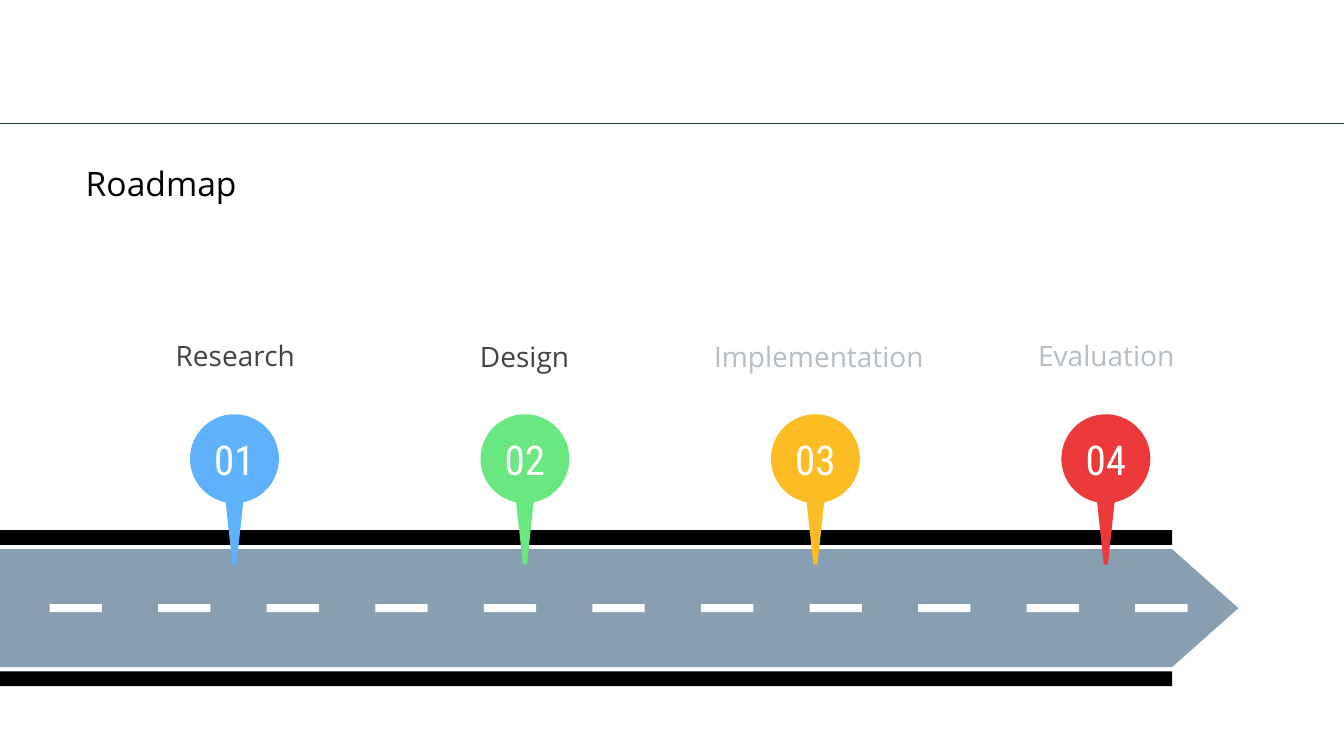
from math import asin, cos, pi, sin

from lxml.etree import SubElement
from pptx import Presentation
from pptx.dml.color import RGBColor
from pptx.enum.shapes import MSO_CONNECTOR, MSO_SHAPE
from pptx.enum.text import MSO_ANCHOR, MSO_AUTO_SIZE, PP_ALIGN
from pptx.oxml.ns import qn
from pptx.util import Cm, Pt

# Content
TITLE = "Roadmap"
# number, label, pin colour, label colour, label centre and top in cm
MILESTONES = [
    ("01", "Research", "blue", "dark", 5.93, 8.15),
    ("02", "Design", "green", "dark", 13.22, 8.18),
    ("03", "Implementation", "yellow", "pale", 20.64, 8.18),
    ("04", "Evaluation", "red", "pale", 27.88, 8.15),
]
COLORS = {
    "blue": "5EB2FC", "green": "69E781", "yellow": "FCBD24", "red": "EC3A3B",
    "dark": "434343", "pale": "B5BDC5", "black": "000000", "white": "FFFFFF",
    "road": "869FB2", "rule": "233A42",
}
TEXT_FONT, NUMBER_FONT = "Open Sans", "Roboto Condensed"

# Layout, in cm
SLIDE_WIDTH, SLIDE_HEIGHT = 33.87, 19.05
RULE_Y = 3.11
ROAD_LEFT, ROAD_TOP, ROAD_BOTTOM = -0.03, 13.84, 16.81
ROAD_SHOULDER, ROAD_TIP = 29.54, 31.21
EDGE_HEIGHT, EDGE_TOPS = 0.37, (13.36, 16.92)
DASH_COUNT, DASH_FIRST, DASH_LAST = 11, 1.25, 28.61
DASH_WIDTH, DASH_HEIGHT = 1.32, 0.2
PIN_FIRST, PIN_STEP, PIN_Y, PIN_RADIUS = 5.91, 7.32, 11.56, 1.12
NECK_HALF, POINT_HALF, POINT_Y = 0.22, 0.05, 14.23
LABEL_WIDTH, LABEL_HEIGHT = 6.99, 1.6
INSET, NUMBER_INSET = 0.33, 0.51


def color(name):
    return RGBColor.from_string(COLORS[name])


def paint(shape, fill):
    shape.shadow.inherit = False
    shape.fill.solid()
    shape.fill.fore_color.rgb = color(fill)
    shape.line.fill.background()


def add_bar(shapes, left, top, width, height, fill):
    bar = shapes.add_shape(MSO_SHAPE.RECTANGLE, Cm(left), Cm(top), Cm(width), Cm(height))
    paint(bar, fill)


def add_outline(shapes, points, fill):
    points = [(Cm(x), Cm(y)) for x, y in points]
    builder = shapes.build_freeform(*points[0])
    builder.add_line_segments(points[1:], close=True)
    shape = builder.convert_to_shape()
    paint(shape, fill)
    return shape


def write(shape, text, font, size, fill, align, anchor, top_inset=INSET):
    frame = shape.text_frame
    frame.word_wrap = True
    frame.auto_size = MSO_AUTO_SIZE.NONE
    frame.vertical_anchor = anchor
    frame.margin_left = frame.margin_right = frame.margin_bottom = Cm(INSET)
    frame.margin_top = Cm(top_inset)
    paragraph = frame.paragraphs[0]
    paragraph.alignment = align
    run = paragraph.add_run()
    run.text = text
    run.font.name, run.font.size = font, Pt(size)
    run.font.color.rgb = color(fill)


def pin_points(center, steps=72):
    """Round head, open at the neck, that narrows to a blunt point."""
    neck = asin(NECK_HALF / PIN_RADIUS)
    angles = [neck + (2 * pi - 2 * neck) * i / steps for i in range(steps + 1)]
    head = [(center + PIN_RADIUS * sin(a), PIN_Y + PIN_RADIUS * cos(a)) for a in angles]
    return head + [(center - POINT_HALF, POINT_Y), (center + POINT_HALF, POINT_Y)]


presentation = Presentation()
presentation.slide_width, presentation.slide_height = Cm(SLIDE_WIDTH), Cm(SLIDE_HEIGHT)
slide = presentation.slides.add_slide(presentation.slide_layouts[5])

# Header rule and title
rule = slide.shapes.add_connector(
    MSO_CONNECTOR.STRAIGHT, 0, Cm(RULE_Y), Cm(SLIDE_WIDTH), Cm(RULE_Y))
rule.line.color.rgb = color("rule")
rule.line.width = Pt(0.75)
SubElement(rule._element.spPr, qn("a:effectLst"))

title = slide.shapes.title
title.left, title.top, title.width, title.height = Cm(1.83), Cm(3.73), Cm(28.6), Cm(1.78)
write(title, TITLE, TEXT_FONT, 24, "black", PP_ALIGN.LEFT, MSO_ANCHOR.MIDDLE)

# Road with edges and centre dashes
road = slide.shapes.add_group_shape().shapes
road_middle = (ROAD_TOP + ROAD_BOTTOM) / 2
add_outline(road, [
    (ROAD_LEFT, ROAD_TOP), (ROAD_LEFT, ROAD_BOTTOM), (ROAD_SHOULDER, ROAD_BOTTOM),
    (ROAD_TIP, road_middle), (ROAD_SHOULDER, ROAD_TOP)], "road")
for edge_top in EDGE_TOPS:
    add_bar(road, ROAD_LEFT, edge_top, ROAD_SHOULDER - ROAD_LEFT, EDGE_HEIGHT, "black")
dash_step = (DASH_LAST - DASH_FIRST) / (DASH_COUNT - 1)
for i in range(DASH_COUNT):
    add_bar(road, DASH_FIRST + i * dash_step, road_middle - DASH_HEIGHT / 2,
            DASH_WIDTH, DASH_HEIGHT, "white")

# Milestones: numbered pin and label
for i, (number, label, pin_fill, label_fill, label_center, label_top) in enumerate(MILESTONES):
    milestone = slide.shapes.add_group_shape().shapes
    pin = add_outline(milestone, pin_points(PIN_FIRST + i * PIN_STEP), pin_fill)
    write(pin, number, NUMBER_FONT, 29.3, "white",
          PP_ALIGN.CENTER, MSO_ANCHOR.TOP, NUMBER_INSET)
    box = milestone.add_textbox(Cm(label_center - LABEL_WIDTH / 2), Cm(label_top),
                                Cm(LABEL_WIDTH), Cm(LABEL_HEIGHT))
    write(box, label, TEXT_FONT, 20, label_fill, PP_ALIGN.CENTER, MSO_ANCHOR.MIDDLE)

presentation.save("out.pptx")
